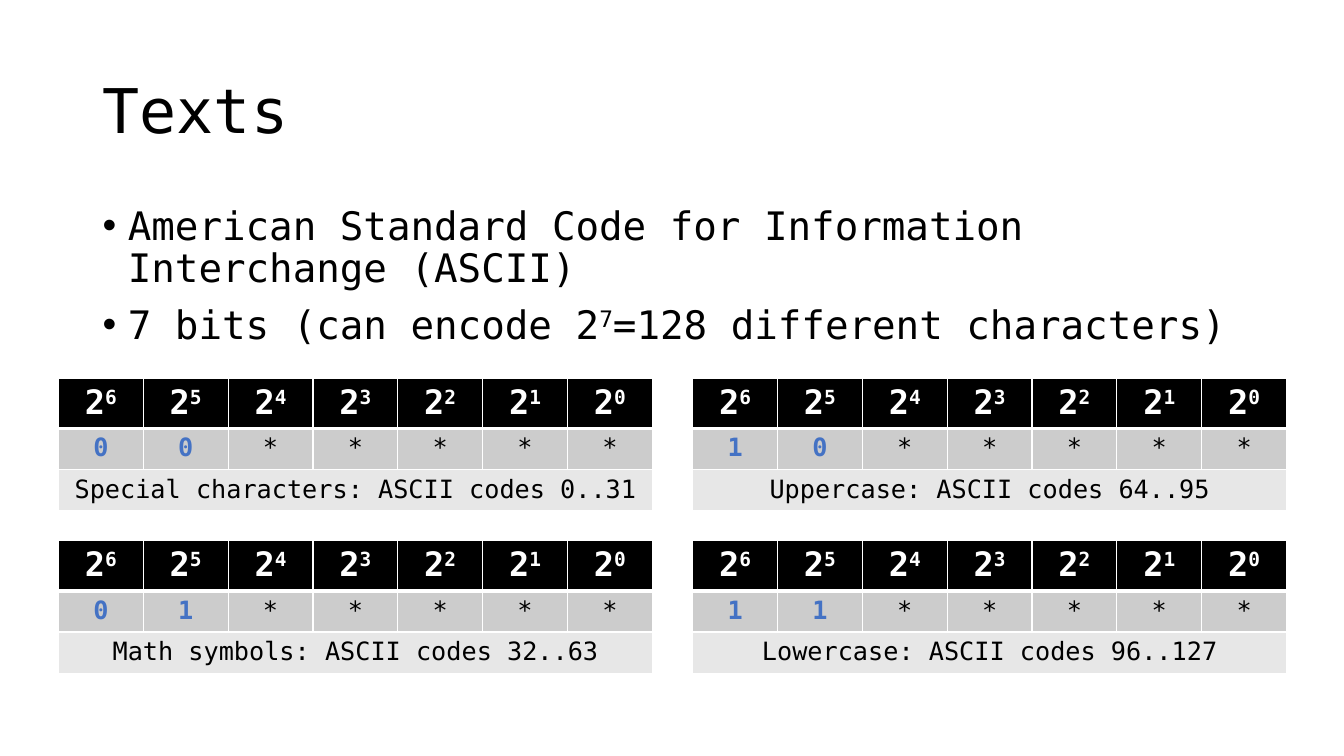
"""Build a slide on how ASCII splits its 7-bit codes into four groups."""
from lxml.etree import SubElement
from pptx import Presentation
from pptx.dml.color import RGBColor
from pptx.enum.text import MSO_ANCHOR, PP_ALIGN
from pptx.oxml.ns import qn
from pptx.util import Inches, Pt

TITLE = "Texts"
BULLETS = [
    "American Standard Code for Information Interchange (ASCII)",
    "7 bits (can encode 2^7^=128 different characters)",
]
POWERS = [f"2^{power}^" for power in range(6, -1, -1)]
GROUPS = [
    [("00", "Special characters: ASCII codes 0..31"), ("10", "Uppercase: ASCII codes 64..95")],
    [("01", "Math symbols: ASCII codes 32..63"), ("11", "Lowercase: ASCII codes 96..127")],
]
THEME = {
    "font": "DejaVu Sans Mono",
    "title": 44, "body": 28, "header": 24, "cell": 18,
    "text": "000000", "light": "FFFFFF", "accent": "4472C4",
    "header_fill": "000000", "bits_fill": "CCCCCC", "caption_fill": "E7E7E7",
}
TABLE_LEFT, TABLE_TOP = 0.58, 3.75
TABLE_WIDTH, TABLE_HEIGHT, ROW_HEIGHT = 5.89, 1.31, 0.41
STEP_X, STEP_Y = 6.29, 1.61


def write(paragraph, text, *, size, color="text", bold=False, align=PP_ALIGN.LEFT,
          line_spacing=None, space_before=0, bullet=False):
    """Write text into a paragraph; parts between carets are superscript."""
    paragraph.alignment = align
    paragraph.line_spacing = line_spacing
    paragraph.space_before = Pt(space_before)
    if bullet:
        properties = paragraph._p.get_or_add_pPr()
        properties.set("marL", str(Inches(0.25)))
        properties.set("indent", str(-Inches(0.25)))
        SubElement(properties, qn("a:buFont"), typeface="Arial")
        SubElement(properties, qn("a:buChar"), char="•")
    for index, part in enumerate(text.split("^")):
        if not part:
            continue
        run = paragraph.add_run()
        run.text = part
        run.font.name = THEME["font"]
        run.font.size = Pt(THEME[size])
        run.font.bold = bold
        run.font.color.rgb = RGBColor.from_string(THEME[color])
        if index % 2:
            run.font._element.set("baseline", "30000")


def add_frame(slide, left, top, width, height, anchor):
    frame = slide.shapes.add_textbox(
        Inches(left), Inches(top), Inches(width), Inches(height)).text_frame
    frame.word_wrap = True
    frame.vertical_anchor = anchor
    return frame


def style_cell(cell, fill, top=1, bottom=1):
    properties = cell._tc.get_or_add_tcPr()
    for side, width in (("L", 1), ("R", 1), ("T", top), ("B", bottom)):
        line = SubElement(properties, qn(f"a:ln{side}"), w=str(Pt(width)))
        SubElement(SubElement(line, qn("a:solidFill")), qn("a:srgbClr"), val=THEME["light"])
    cell.fill.solid()
    cell.fill.fore_color.rgb = RGBColor.from_string(THEME[fill])


def add_group_table(slide, left, top, prefix, caption):
    count = len(POWERS)
    table = slide.shapes.add_table(
        3, count, Inches(left), Inches(top), Inches(TABLE_WIDTH), Inches(TABLE_HEIGHT)).table
    table.first_row = table.horz_banding = False
    for row in table.rows:
        row.height = Inches(ROW_HEIGHT)
    for column, (power, bit) in enumerate(zip(POWERS, prefix.ljust(count, "*"))):
        table.columns[column].width = Inches(TABLE_WIDTH / count)
        header, value, footer = (table.cell(row, column) for row in range(3))
        style_cell(header, "header_fill", bottom=3)
        style_cell(value, "bits_fill", top=3)
        style_cell(footer, "caption_fill")
        fixed = bit != "*"
        write(header.text_frame.paragraphs[0], power, size="header", color="light",
              bold=True, align=PP_ALIGN.CENTER)
        write(value.text_frame.paragraphs[0], bit, size="cell",
              color="accent" if fixed else "text", bold=fixed, align=PP_ALIGN.CENTER)
    table.cell(2, 0).merge(table.cell(2, count - 1))
    write(table.cell(2, 0).text_frame.paragraphs[0], caption, size="cell",
          align=PP_ALIGN.CENTER)


def main():
    presentation = Presentation()
    presentation.slide_width = Inches(13.33)
    presentation.slide_height = Inches(7.5)
    slide = presentation.slides.add_slide(presentation.slide_layouts[6])

    title = add_frame(slide, 0.92, 0.4, 11.5, 1.45, MSO_ANCHOR.MIDDLE)
    write(title.paragraphs[0], TITLE, size="title", line_spacing=0.9)

    body = add_frame(slide, 0.92, 2, 11.5, 1.75, MSO_ANCHOR.TOP)
    for index, text in enumerate(BULLETS):
        paragraph = body.add_paragraph() if index else body.paragraphs[0]
        write(paragraph, text, size="body", line_spacing=0.9, space_before=10, bullet=True)

    for row, groups in enumerate(GROUPS):
        for column, (prefix, caption) in enumerate(groups):
            add_group_table(slide, TABLE_LEFT + column * STEP_X, TABLE_TOP + row * STEP_Y,
                            prefix, caption)
    presentation.save("out.pptx")


if __name__ == "__main__":
    main()
